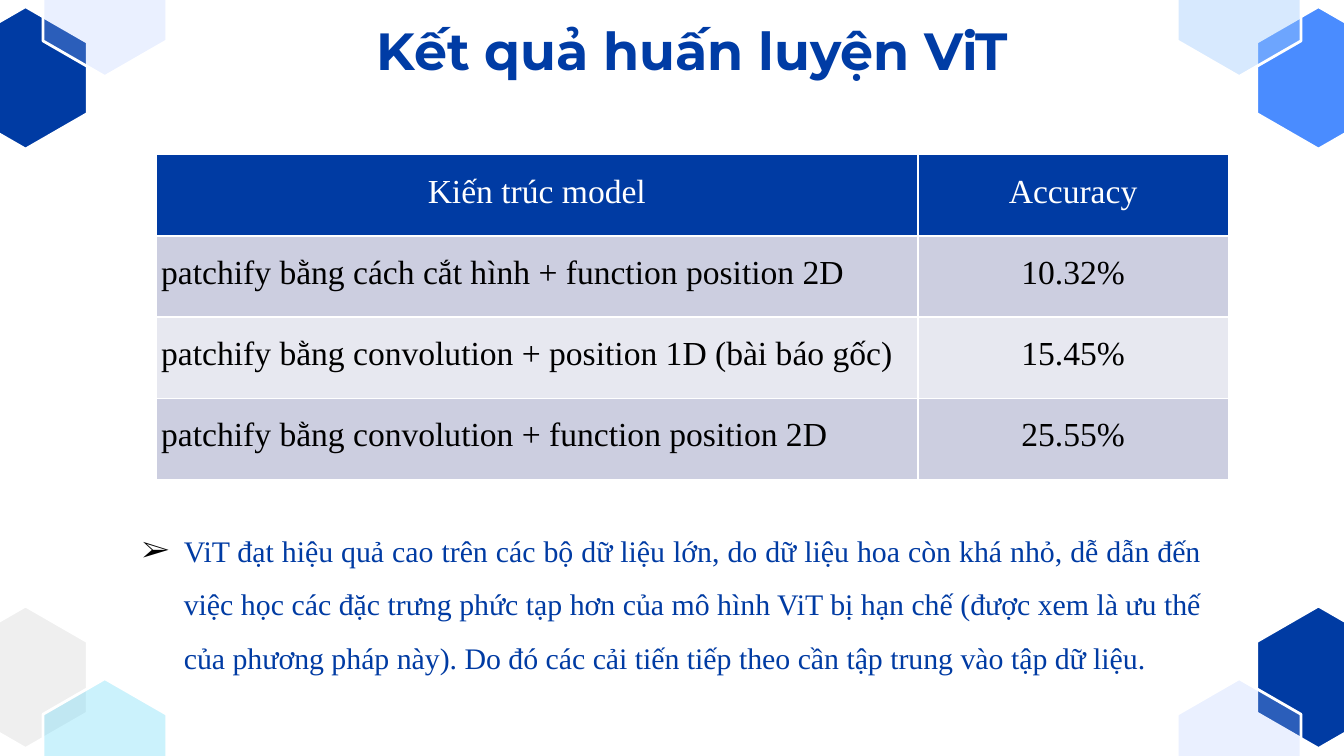
from lxml import etree
from pptx import Presentation
from pptx.dml.color import RGBColor
from pptx.enum.text import MSO_ANCHOR, PP_ALIGN
from pptx.oxml.ns import qn
from pptx.util import Inches, Pt

LEFT, CENTER, JUSTIFY = PP_ALIGN.LEFT, PP_ALIGN.CENTER, PP_ALIGN.JUSTIFY
TOP, MIDDLE = MSO_ANCHOR.TOP, MSO_ANCHOR.MIDDLE
BLUE, WHITE, BLACK = "003BA3", "FFFFFF", "000000"
SERIF = "Times New Roman"

TITLE = "Kết quả huấn luyện ViT"
ROWS = [
    ("Kiến trúc model", "Accuracy"),
    ("patchify bằng cách cắt hình + function position 2D", "10.32%"),
    ("patchify bằng convolution + position 1D (bài báo gốc)", "15.45%"),
    ("patchify bằng convolution + function position 2D", "25.55%"),
]
ROW_FILLS = [BLUE, "CCCEE0", "E7E8F0", "CCCEE0"]
COLUMN_WIDTHS = [5.67, 2.31]
TABLE_HEIGHT = 2.42
CONCLUSION = (
    "ViT đạt hiệu quả cao trên các bộ dữ liệu lớn, do dữ liệu hoa còn khá nhỏ, "
    "dễ dẫn đến việc học các đặc trưng phức tạp hơn của mô hình ViT bị hạn chế "
    "(được xem là ưu thế của phương pháp này). Do đó các cải tiến tiếp theo cần "
    "tập trung vào tập dữ liệu."
)

HEX_WIDTH, HEX_HEIGHT = 0.92, 1.06
HEXAGONS = [
    (0.19, 5.04, "EFEFEF", 100),
    (0.78, 5.58, "68DAF8", 34),
    (9.81, 5.04, BLUE, 100),
    (9.22, 5.58, "AFC7FF", 25),
    (0.19, 0.58, BLUE, 100),
    (0.78, 0.04, "AFC7FF", 25),
    (9.81, 0.58, "4A8CFF", 100),
    (9.22, 0.04, "9FCBFD", 41),
]


def color(value):
    return RGBColor.from_string(value)


def add_hexagon(page, x, y, fill, opacity):
    half, quarter = HEX_WIDTH / 2, HEX_HEIGHT / 4
    corners = [(0, -2), (-1, -1), (-1, 1), (0, 2), (1, 1), (1, -1)]
    points = [(Inches(x + dx * half), Inches(y + dy * quarter)) for dx, dy in corners]
    builder = page.shapes.build_freeform(*points[0])
    builder.add_line_segments(points[1:], close=True)
    shape = builder.convert_to_shape()
    shape.shadow.inherit = False
    shape.fill.solid()
    shape.fill.fore_color.rgb = color(fill)
    shape.line.color.rgb = color(WHITE)
    shape.line.width = Pt(1.5)
    if opacity < 100:
        srgb = shape.fill._xPr.find(qn("a:solidFill")).find(qn("a:srgbClr"))
        etree.SubElement(srgb, qn("a:alpha"), val=str(opacity * 1000))


def add_bullet(para, char, fill, indent):
    props = para._p.get_or_add_pPr()
    props.set("marL", str(Inches(indent)))
    props.set("indent", str(-Inches(indent)))
    bullet_color = etree.SubElement(props, qn("a:buClr"))
    etree.SubElement(bullet_color, qn("a:srgbClr"), val=fill)
    etree.SubElement(props, qn("a:buFont"), typeface=SERIF)
    etree.SubElement(props, qn("a:buChar"), char=char)


def write(frame, text, size=18, font=SERIF, fill=BLACK, bold=False, align=LEFT,
          spacing=1.5, bullet=None):
    para = frame.paragraphs[0]
    if bullet:
        add_bullet(para, bullet, BLACK, 0.31)
    para.alignment = align
    para.line_spacing = spacing
    span = para.add_run()
    span.text = text
    span.font.size = Pt(size)
    span.font.name = font
    span.font.bold = bold
    span.font.color.rgb = color(fill)


def add_text(page, left, top, width, height, text, anchor=TOP, **style):
    box = page.shapes.add_textbox(Inches(left), Inches(top), Inches(width), Inches(height))
    frame = box.text_frame
    frame.word_wrap = True
    frame.vertical_anchor = anchor
    write(frame, text, **style)


def add_results(page, left, top):
    table = page.shapes.add_table(
        len(ROWS), len(COLUMN_WIDTHS), Inches(left), Inches(top),
        Inches(sum(COLUMN_WIDTHS)), Inches(TABLE_HEIGHT)).table
    for column, width in zip(table.columns, COLUMN_WIDTHS):
        column.width = Inches(width)
    for r, (texts, fill) in enumerate(zip(ROWS, ROW_FILLS)):
        header = r == 0
        for c, text in enumerate(texts):
            cell = table.cell(r, c)
            cell.margin_left = cell.margin_right = Inches(0.04)
            cell.margin_top = cell.margin_bottom = 0
            cell.fill.solid()
            cell.fill.fore_color.rgb = color(fill)
            write(cell.text_frame, text, fill=WHITE if header else BLACK,
                  align=CENTER if header or c else LEFT)


def main():
    deck = Presentation()
    deck.slide_width = Inches(10)
    deck.slide_height = deck.slide_width * 9 // 16
    page = deck.slides.add_slide(deck.slide_layouts[6])
    for hexagon in HEXAGONS:
        add_hexagon(page, *hexagon)
    add_text(page, 1.54, 0, 7.22, 0.74, TITLE, anchor=MIDDLE, size=28,
             font="Montserrat", fill="003CA5", bold=True, align=CENTER, spacing=1)
    add_results(page, 1.16, 1.15)
    add_text(page, 0.96, 3.78, 8.08, 1.26, CONCLUSION, size=16, fill=BLUE,
             align=JUSTIFY, bullet="➢")
    deck.save("out.pptx")


if __name__ == "__main__":
    main()
